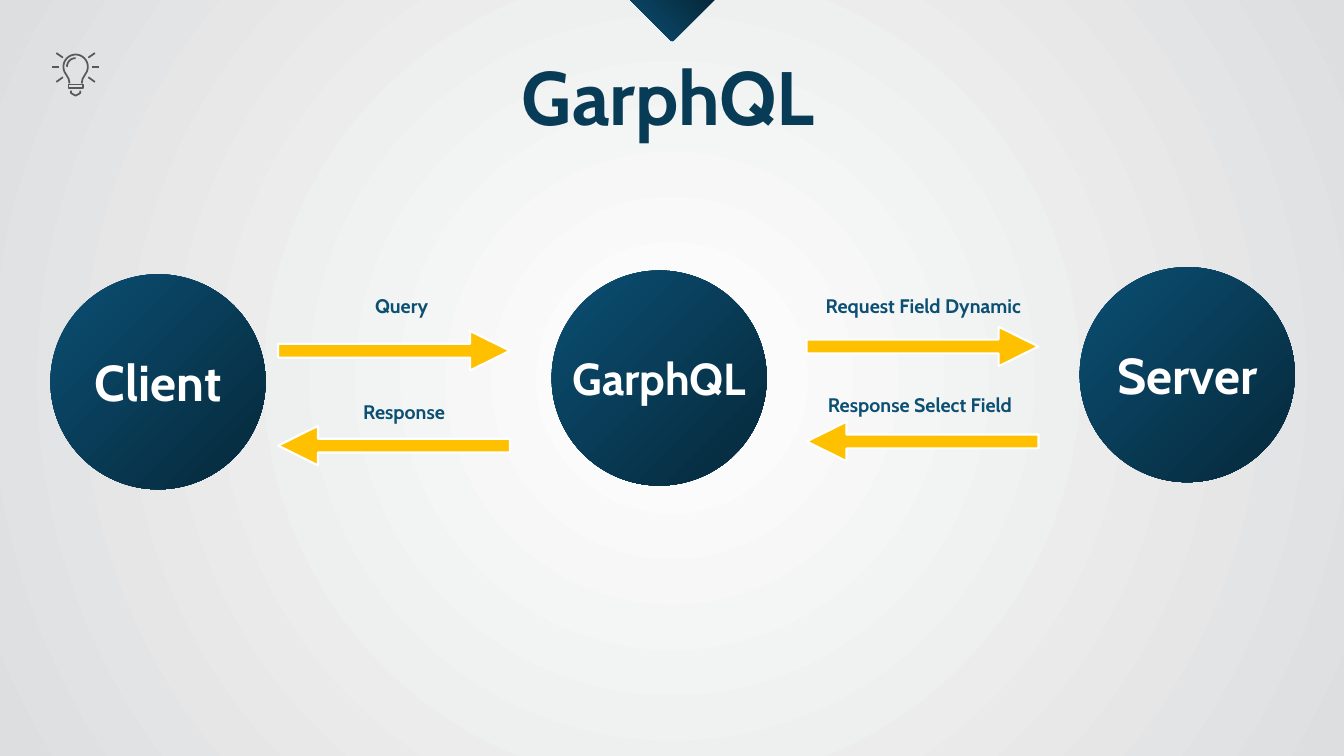
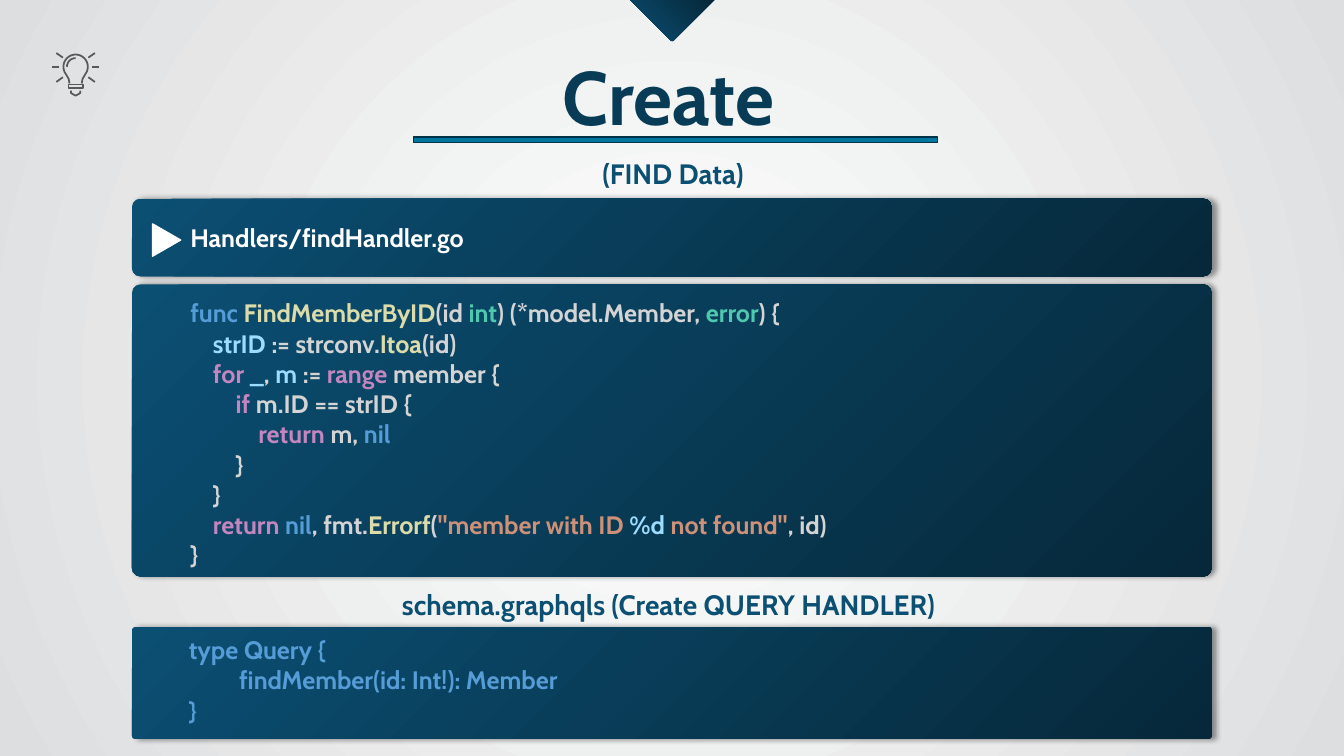
from math import cos, radians, sin

from lxml.etree import SubElement
from pptx import Presentation
from pptx.dml.color import RGBColor
from pptx.enum.shapes import MSO_SHAPE
from pptx.enum.text import MSO_ANCHOR, PP_ALIGN
from pptx.oxml.ns import qn
from pptx.util import Inches, Pt

FONT = "Cabin"
COLORS = {
    "white": "FFFFFF", "edge": "DDDEDF", "title": "083B56", "blue": "0B4F73",
    "navy": "06283A", "rule": "00759E", "rule_line": "003345",
    "arrow": "FFC000", "icon": "595959", "shadow": "000000",
    # syntax colours
    "keyword": "569CD6", "function": "DCDCAA", "plain": "D4D4D4",
    "type": "4EC9B0", "variable": "9CDCFE", "control": "C586C0",
    "string": "CE9178",
}

# The slide is a grid of 160 columns by 90 rows of square cells
WIDTH, HEIGHT = Inches(13.33), Inches(7.5)
CELL = HEIGHT / 90


def cells(*counts):
    return [round(n * CELL) for n in counts]


def rgb(name):
    return RGBColor.from_string(COLORS[name])


def set_gradient(fill, start, end, angle=315):
    fill.gradient()
    fill.gradient_angle = angle
    for stop, name in zip(fill.gradient_stops, (start, end)):
        stop.color.rgb = rgb(name)


def set_line(shape, color=None, width=1):
    if color:
        shape.line.color.rgb = rgb(color)
        shape.line.width = Pt(width)
    else:
        shape.line.fill.background()


def add_run(p, text, size, color):
    r = p.add_run()
    r.text = text
    r.font.name, r.font.size, r.font.bold = FONT, Pt(size), True
    r.font.color.rgb = rgb(color)


def add_text(s, box, text, size, color):
    tf = s.shapes.add_textbox(*cells(*box)).text_frame
    tf.word_wrap = True
    p = tf.paragraphs[0]
    p.alignment = PP_ALIGN.CENTER
    add_run(p, text, size, color)


def add_shape(s, kind, box, fill=None, line=None, width=1, adjust=()):
    """A preset shape; without a fill colour it takes the blue gradient."""
    sp = s.shapes.add_shape(kind, *cells(*box))
    sp.shadow.inherit = False
    for i, value in enumerate(adjust):
        sp.adjustments[i] = value
    if fill:
        sp.fill.solid()
        sp.fill.fore_color.rgb = rgb(fill)
    else:
        set_gradient(sp.fill, "blue", "navy")
    set_line(sp, line, width)
    return sp


def add_outline(s, box, units, contours):
    """A freeform of (points, closed) contours, units wide across the box."""
    left, top, width = cells(*box)
    builder = None
    for points, closed in contours:
        if builder is None:
            builder = s.shapes.build_freeform(*points[0], scale=width / units)
        else:
            builder.move_to(*points[0])
        builder.add_line_segments(points[1:], close=closed)
    sp = builder.convert_to_shape(left, top)
    sp.shadow.inherit = False
    return sp


# Parts shared by both slides
def set_background(master):
    set_gradient(master.background.fill, "white", "edge")
    grad = master.element.find(".//" + qn("a:gradFill"))
    grad.remove(grad.find(qn("a:lin")))
    path = SubElement(grad, qn("a:path"), {"path": "circle"})
    SubElement(path, qn("a:fillToRect"), dict.fromkeys("ltrb", "50000"))


def arc(cx, cy, radius, start, end, step=10):
    return [(cx + radius * cos(radians(a)), cy + radius * sin(radians(a)))
            for a in range(start, end + 1, step)]


def add_bulb(s, box):
    glass = ([(180, 310), (172, 265)] + arc(240, 145, 120, 145, 395)
             + [(308, 265), (300, 310)])
    highlight = arc(240, 145, 85, 180, 270)
    base = [(170, 320), (310, 320), (310, 355), (170, 355)]
    foot = [(195, 380), (195, 405), (240, 430), (285, 405), (285, 380)]
    rays = [[(10, 150), (80, 150)], [(50, 10), (115, 55)],
            [(50, 295), (115, 248)]]
    rays += [[(480 - x, y) for x, y in ray] for ray in rays]
    strokes = [(points, False) for points in [glass, highlight, foot] + rays]
    sp = add_outline(s, box, 480, strokes + [(base, True)])
    sp.fill.background()
    set_line(sp, "icon", 1.25)


def add_frame(prs, title):
    """A new slide with the top pointer, title and bulb icon."""
    s = prs.slides.add_slide(prs.slide_layouts[6])
    tip = [(0, 0), (100, 0), (52, 48), (50, 49), (48, 48)]
    pointer = add_outline(s, (75, 0, 10), 100, [(tip, True)])
    set_gradient(pointer.fill, "blue", "navy", angle=45)
    set_line(pointer)
    add_text(s, (49.2, 5.4, 60.7, 12.1), title, 54, "title")
    add_bulb(s, (6.1, 6.2, 5.8))
    return s


# Flow slide
NODES = [("Client", 6, 32.65, 36), ("GarphQL", 65.65, 32.2, 32),
         ("Server", 128.5, 31.8, 36)]
# left and top of the pair, then text, centre and top of each label
LINKS = [(33.1, 39.4, [("Query", 47.8, 34.45), ("Response", 48.1, 47)]),
         (96, 38.9, [("Request Field Dynamic", 109.9, 34.45),
                     ("Response Select Field", 109.5, 46.2)])]


def add_node(s, text, left, top, size, diameter=25.6):
    sp = add_shape(s, MSO_SHAPE.OVAL, (left, top, diameter, diameter))
    tf = sp.text_frame
    tf.word_wrap = False
    tf.vertical_anchor = MSO_ANCHOR.MIDDLE
    p = tf.paragraphs[0]
    p.alignment = PP_ALIGN.CENTER
    add_run(p, text, size, "white")


def add_link(s, left, top, labels, gap=11.3, label_width=44):
    """A request arrow above a response arrow, each with its label."""
    for i, (text, centre, label_top) in enumerate(labels):
        arrow = add_shape(s, MSO_SHAPE.RIGHT_ARROW,
                          (left, top + i * gap, 27.6, 4.7),
                          "arrow", "white", 1.5, (0.35, 1.01))
        arrow.rotation = 180 * i
        add_text(s, (centre - label_width / 2, label_top, label_width, 4.1),
                 text, 14, "blue")


def build_flow(prs):
    s = add_frame(prs, "GarphQL")
    for node in NODES:
        add_node(s, *node)
    for link in LINKS:
        add_link(s, *link)


# Code slide: each line is a list of (text, colour) runs
HEADER = [[("Handlers/findHandler.go", "white")]]
HANDLER = [
    [("func ", "keyword"), ("FindMemberByID", "function"), ("(id ", "plain"),
     ("int", "type"), (") (*model.Member, ", "plain"), ("error", "type"),
     (") {", "plain")],
    [("    strID", "variable"), (" := strconv.", "plain"),
     ("Itoa", "function"), ("(id)", "plain")],
    [("    for ", "control"), ("_", "variable"), (", ", "plain"),
     ("m", "variable"), (" := ", "plain"), ("range", "control"),
     (" member {", "plain")],
    [("        if", "control"), (" m.ID == strID {", "plain")],
    [("            return", "control"), (" m, ", "plain"),
     ("nil", "keyword")],
    [("        }", "plain")],
    [("    }", "plain")],
    [("    return ", "control"), ("nil", "keyword"), (", fmt.", "plain"),
     ("Errorf", "function"), ("(", "plain"), ('"member with ID ', "string"),
     ("%d", "variable"), (' not found"', "string"), (", id)", "plain")],
    [("}", "plain")],
]
SCHEMA = [[("type Query {", "keyword")],
          [("\tfindMember(id: Int!): Member", "keyword")],
          [("}", "keyword")]]


def add_panel(s, box, corner, lines, top_inset=None):
    """A shadowed panel of code; without a top inset the text is centred."""
    sp = add_shape(s, MSO_SHAPE.ROUNDED_RECTANGLE, box, adjust=(corner,))
    effects = sp.element.spPr.find(qn("a:effectLst"))
    shadow = SubElement(effects, qn("a:outerShdw"), {
        "blurRad": str(Pt(4)), "dist": str(Pt(3)), "dir": "0",
        "algn": "l", "rotWithShape": "0"})
    color = SubElement(shadow, qn("a:srgbClr"), {"val": COLORS["shadow"]})
    SubElement(color, qn("a:alpha"), {"val": "40000"})

    tf = sp.text_frame
    tf.word_wrap = True
    tf.margin_left, = cells(6.65)
    if top_inset is None:
        tf.vertical_anchor = MSO_ANCHOR.MIDDLE
    else:
        tf.vertical_anchor = MSO_ANCHOR.TOP
        tf.margin_top, = cells(top_inset)
    for i, runs in enumerate(lines):
        p = tf.paragraphs[0] if i == 0 else tf.add_paragraph()
        p.alignment = PP_ALIGN.LEFT
        if runs[0][0].startswith("\t"):
            tabs = SubElement(p._p.get_or_add_pPr(), qn("a:tabLst"))
            SubElement(tabs, qn("a:tab"),
                       {"pos": str(Inches(0.5)), "algn": "l"})
        for text, name in runs:
            add_run(p, text, 18, name)


def build_code(prs):
    s = add_frame(prs, "Create")
    left, width = 15.7, 128.5
    add_text(s, (52, 18, 56.2, 5.3), "(FIND Data)", 20, "blue")
    add_shape(s, MSO_SHAPE.RECTANGLE, (49.2, 16.3, 62.4, 0.7),
              "rule", "rule_line")
    add_panel(s, (left, 33.85, width, 34.8), 0.03, HANDLER, 1.3)
    add_panel(s, (left, 23.65, width, 9.25), 0.11, HEADER)
    play = add_shape(s, MSO_SHAPE.ISOSCELES_TRIANGLE,
                     (left + 2.2, 26.9, 3.85, 3.35), "white", "white")
    play.rotation = 90
    add_panel(s, (left, 74.65, width, 13.3), 0.03, SCHEMA, 0.75)
    add_text(s, (left, 69.4, width, 5.3),
             "schema.graphqls (Create QUERY HANDLER) ", 20, "blue")


def main():
    prs = Presentation()
    prs.slide_width, prs.slide_height = WIDTH, HEIGHT
    set_background(prs.slide_master)
    build_flow(prs)
    build_code(prs)
    prs.save("out.pptx")


if __name__ == "__main__":
    main()
